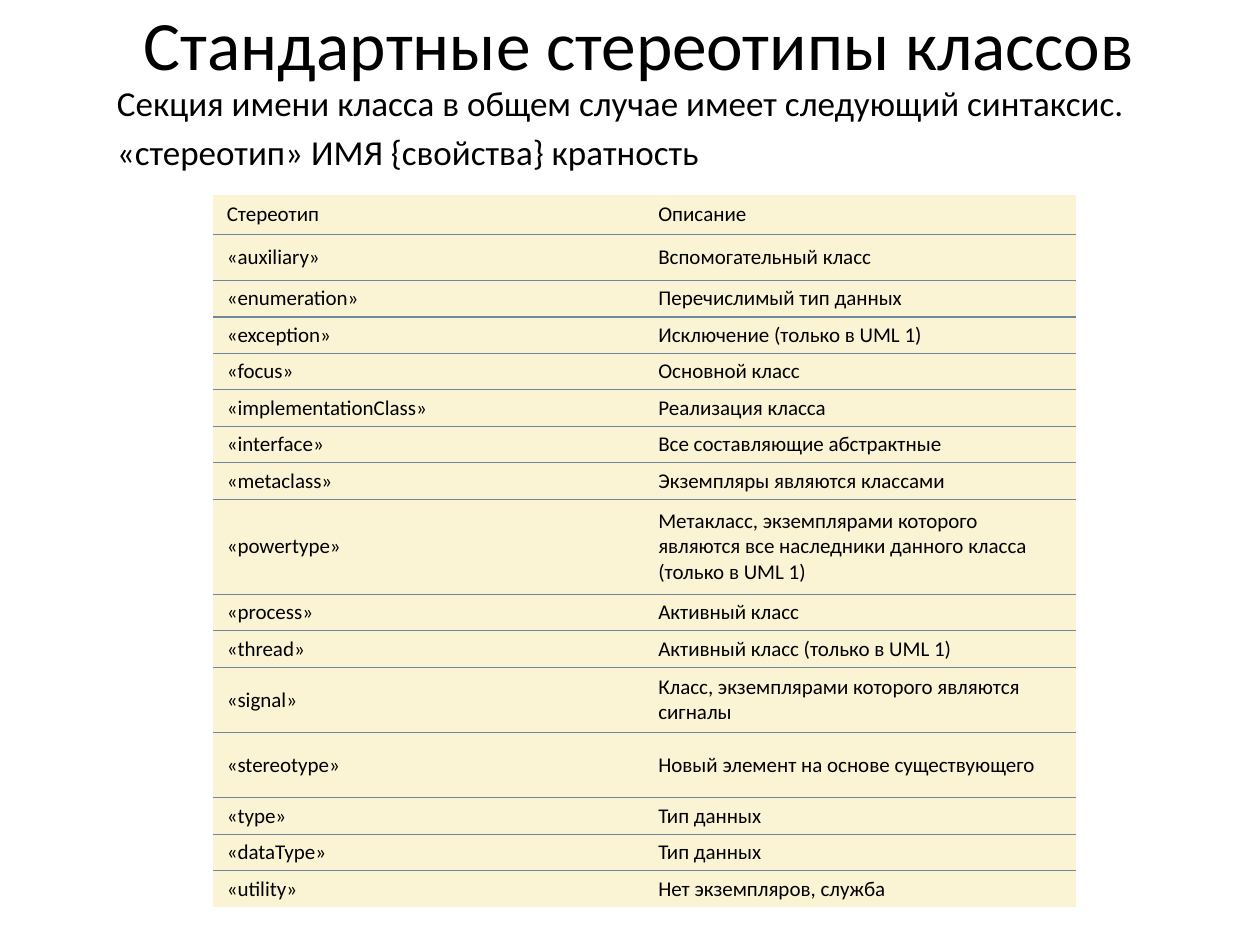
from dataclasses import dataclass

from lxml.etree import SubElement
from pptx import Presentation
from pptx.dml.color import RGBColor
from pptx.enum.text import MSO_ANCHOR, PP_ALIGN
from pptx.oxml.ns import qn
from pptx.util import Inches, Pt

SLIDE_WIDTH, SLIDE_HEIGHT = Inches(10), Inches(7.5)
NO_GRID_STYLE = "{2D5ABB26-0587-4C30-8999-92F81FD0307C}"
LINE, DOUBLE = 0.29, 0.52


@dataclass(frozen=True)
class Theme:
    font: str = "Calibri"
    text: str = "000000"
    cell: str = "FAF4D5"
    rule: str = "6E889C"
    rule_width: float = 0.75
    title_size: float = 39.6
    body_size: float = 20
    table_size: float = 12


THEME = Theme()

INTRODUCTION = [
    "Секция имени класса в общем случае имеет следующий синтаксис.",
    "«стереотип» ИМЯ {свойства} кратность",
]

# Left cell, right cell, row height in inches
STEREOTYPES = [
    ("Стереотип", "Описание", 0.31),
    ("«auxiliary»", "Вспомогательный класс", 0.37),
    ("«enumeration»", "Перечислимый тип данных", LINE),
    ("«exception»", "Исключение (только в UML 1)", LINE),
    ("«focus»", "Основной класс", LINE),
    ("«implementationClass»", "Реализация класса", LINE),
    ("«interface»", "Все составляющие абстрактные", LINE),
    ("«metaclass»", "Экземпляры являются классами", LINE),
    ("«powertype»", "Метакласс, экземплярами которого являются все "
                    "наследники данного класса (только в UML 1)", 0.76),
    ("«process»", "Активный класс", LINE),
    ("«thread»", "Активный класс (только в UML 1)", LINE),
    ("«signal»", "Класс, экземплярами которого являются сигналы", DOUBLE),
    ("«stereotype»", "Новый элемент на основе существующего", DOUBLE),
    ("«type»", "Тип данных", LINE),
    ("«dataType»", "Тип данных", LINE),
    ("«utility»", "Нет экземпляров, служба", LINE),
]


def apply_format(target, values):
    for name, value in values.items():
        setattr(target, name, value)


def write_paragraph(paragraph, text, size, **layout):
    run = paragraph.add_run()
    run.text = text
    apply_format(run.font, {"name": THEME.font, "size": Pt(size)})
    run.font.color.rgb = RGBColor.from_string(THEME.text)
    apply_format(paragraph, layout)


def add_text(slide, box, lines, size, anchor, **layout):
    frame = slide.shapes.add_textbox(*map(Inches, box)).text_frame
    apply_format(frame, {"word_wrap": True, "vertical_anchor": anchor})
    for index, line in enumerate(lines):
        paragraph = frame.add_paragraph() if index else frame.paragraphs[0]
        write_paragraph(paragraph, line, size, **layout)


def add_rule(cell, side):
    """Draw a cell border; side is lnT or lnB."""
    border = SubElement(cell._tc.get_or_add_tcPr(), qn(f"a:{side}"),
                        w=str(Pt(THEME.rule_width)))
    fill = SubElement(border, qn("a:solidFill"))
    SubElement(fill, qn("a:srgbClr"), val=THEME.rule)


def format_cell(cell, text, sides):
    apply_format(cell, {
        "vertical_anchor": MSO_ANCHOR.MIDDLE,
        "margin_left": Inches(0.11), "margin_right": Inches(0.11),
        "margin_top": Inches(0.02), "margin_bottom": Inches(0.02),
    })
    write_paragraph(cell.text_frame.paragraphs[0], text, THEME.table_size)
    for side in sides:
        add_rule(cell, side)
    cell.fill.solid()
    cell.fill.fore_color.rgb = RGBColor.from_string(THEME.cell)


def add_stereotype_table(slide, box, rows):
    """Fit the rows to the box and rule the lines between them."""
    left, top, width, height = map(Inches, box)
    table = slide.shapes.add_table(len(rows), 2, left, top, width, height).table
    apply_format(table, {"first_row": False, "horz_banding": False})
    table._tbl.tblPr.find(qn("a:tableStyleId")).text = NO_GRID_STYLE
    scale = height / sum(row_height for *_, row_height in rows)
    last = len(rows) - 1
    for index, (*texts, row_height) in enumerate(rows):
        table.rows[index].height = int(row_height * scale)
        sides = ["lnT"] * (index > 0) + ["lnB"] * (index < last)
        for column, text in enumerate(texts):
            format_cell(table.cell(index, column), text, sides)


def main():
    presentation = Presentation()
    apply_format(presentation, {"slide_width": SLIDE_WIDTH,
                                "slide_height": SLIDE_HEIGHT})
    slide = presentation.slides.add_slide(presentation.slide_layouts[6])
    add_text(slide, (0.51, 0, 9, 0.68), [" Стандартные стереотипы классов"],
             THEME.title_size, MSO_ANCHOR.MIDDLE, alignment=PP_ALIGN.CENTER)
    add_stereotype_table(slide, (1.69, 1.55, 6.85, 5.65), STEREOTYPES)
    add_text(slide, (0.83, 0.6, 9, 0.9), INTRODUCTION, THEME.body_size,
             MSO_ANCHOR.TOP, space_before=Pt(THEME.body_size * 0.2))
    presentation.save("out.pptx")


if __name__ == "__main__":
    main()
